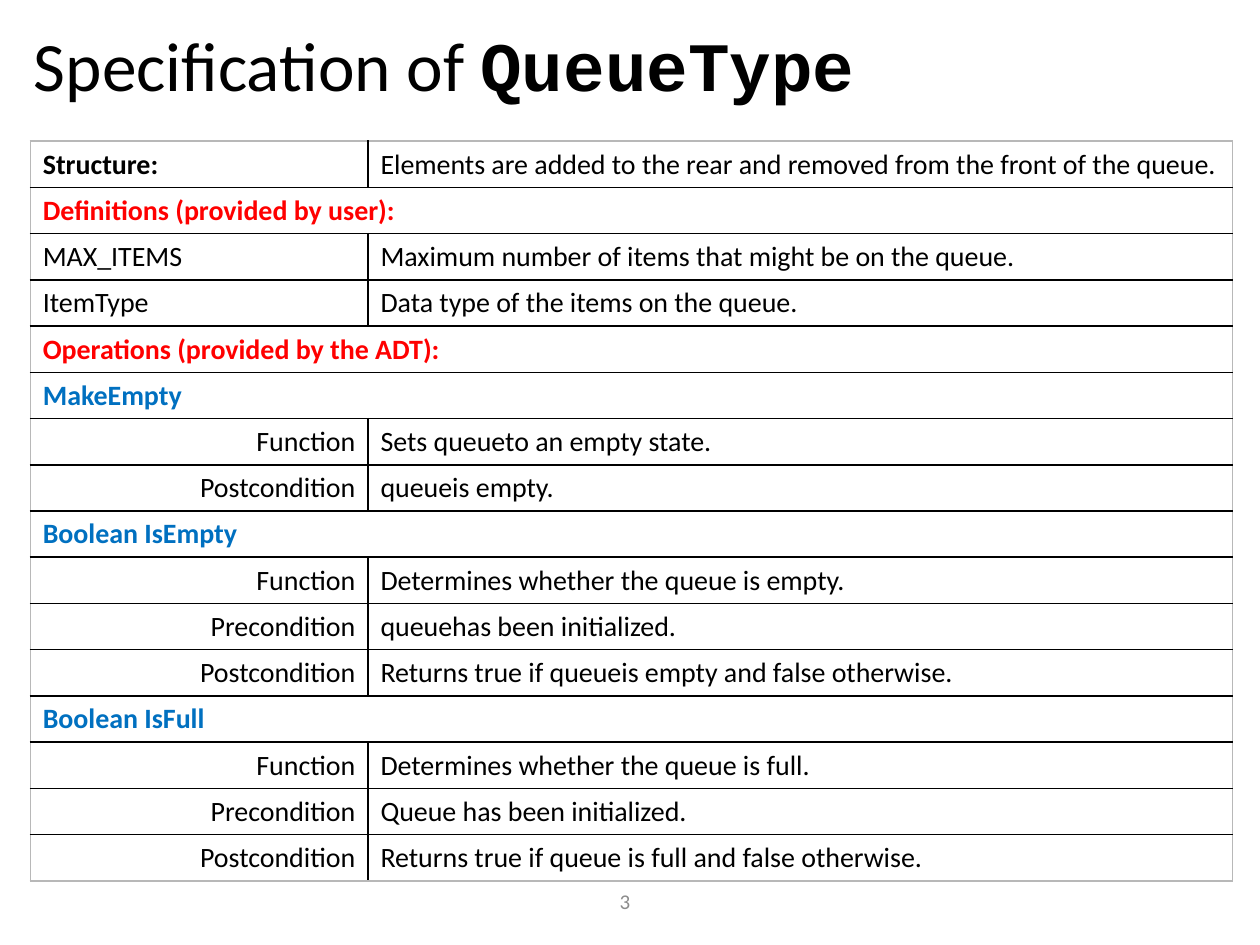
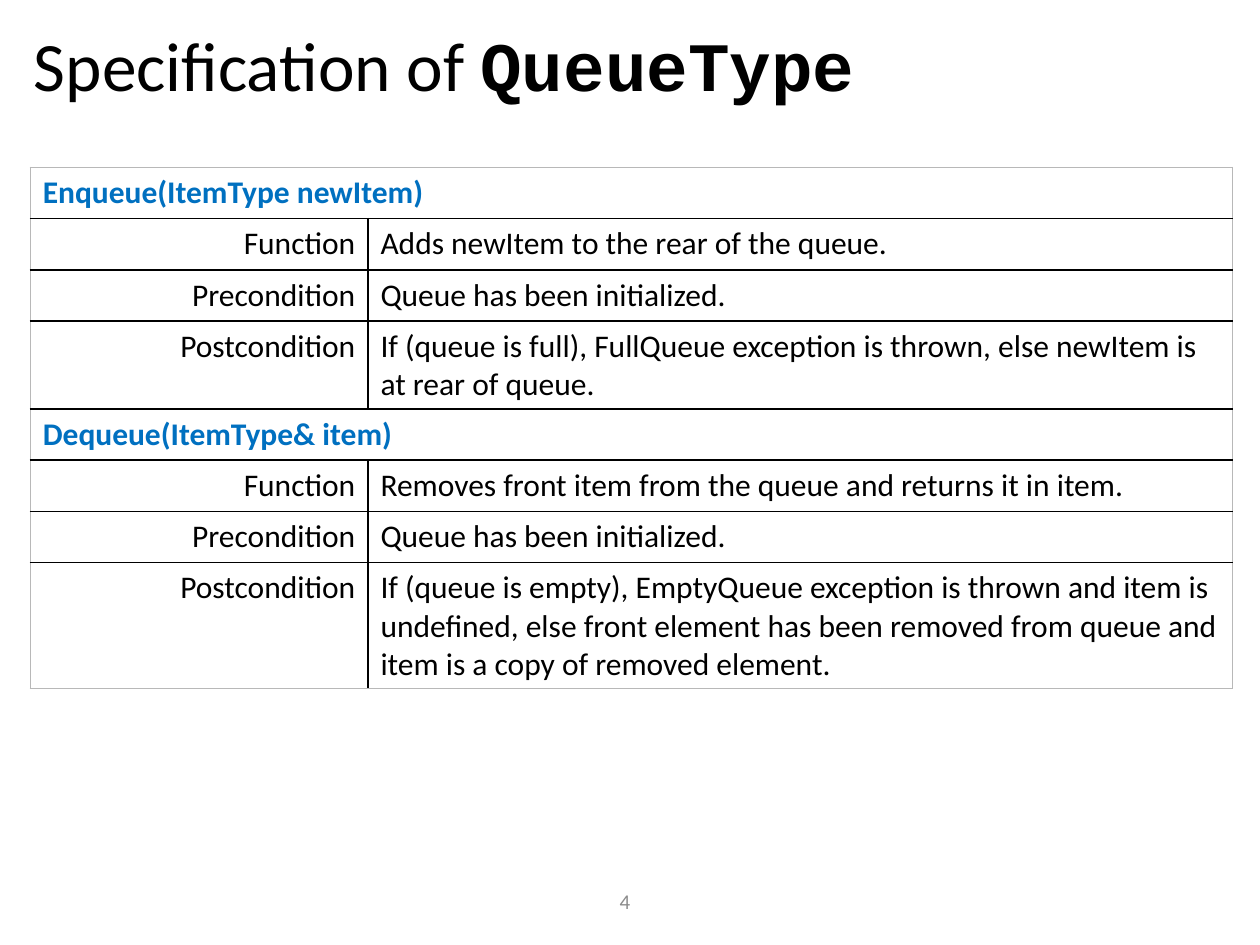
from lxml import etree
from pptx import Presentation
from pptx.dml.color import RGBColor
from pptx.enum.text import MSO_ANCHOR, PP_ALIGN
from pptx.oxml.ns import qn
from pptx.util import Pt

LEFT, CENTER, RIGHT = PP_ALIGN.LEFT, PP_ALIGN.CENTER, PP_ALIGN.RIGHT
MIDDLE = MSO_ANCHOR.MIDDLE

BLACK, WHITE, RED, BLUE = "000000", "FFFFFF", "FF0000", "0070C0"
NUMBER_GRAY, FRAME_GRAY = "8C8C8C", "B8B8B8"
BODY_FONT, CODE_FONT = "Calibri", "Courier New"

TITLE = [
    ("Specification of ", {"name": BODY_FONT, "bold": False}),
    ("QueueType", {"name": CODE_FONT, "bold": True}),
]
TITLE_SIZE, NUMBER_SIZE = 39.6, 12
TITLE_BOX = (12.24, 12.96, 692.64, 53.28)
NUMBER_BOX = (188.64, 500.4, 336.96, 28.8)
TABLE_LEFT, COLUMN_WIDTHS = 17.28, (192.96, 493.92)

# Each row is (kind, first cell, second cell); headings span both columns.
ROW_STYLES = {
    "structure": {"bold": True, "color": BLACK, "align": LEFT},
    "section": {"bold": True, "color": RED, "align": LEFT},
    "operation": {"bold": True, "color": BLUE, "align": LEFT},
    "definition": {"bold": False, "color": BLACK, "align": LEFT},
    "condition": {"bold": False, "color": BLACK, "align": RIGHT},
}
SPANNING = ("section", "operation")

SLIDES = [
    {"number": "3", "top": 80.64, "size": 16, "row_height": 26, "rows": [
        ("structure", "Structure:",
         "Elements are added to the rear and removed from the front of the queue."),
        ("section", "Definitions (provided by user):", ""),
        ("definition", "MAX_ITEMS", "Maximum number of items that might be on the queue."),
        ("definition", "ItemType", "Data type of the items on the queue."),
        ("section", "Operations (provided by the ADT):", ""),
        ("operation", "MakeEmpty", ""),
        ("condition", "Function", "Sets queueto an empty state."),
        ("condition", "Postcondition", "queueis empty."),
        ("operation", "Boolean IsEmpty", ""),
        ("condition", "Function", "Determines whether the queue is empty."),
        ("condition", "Precondition", "queuehas been initialized."),
        ("condition", "Postcondition", "Returns true if queueis empty and false otherwise."),
        ("operation", "Boolean IsFull", ""),
        ("condition", "Function", "Determines whether the queue is full."),
        ("condition", "Precondition", "Queue has been initialized."),
        ("condition", "Postcondition", "Returns true if queue is full and false otherwise."),
    ]},
    {"number": "4", "top": 95.76, "size": 18, "row_height": 29.2, "rows": [
        ("operation", "Enqueue(ItemType newItem)", ""),
        ("condition", "Function", "Adds newItem to the rear of the queue."),
        ("condition", "Precondition", "Queue has been initialized."),
        ("condition", "Postcondition",
         "If (queue is full), FullQueue exception is thrown, "
         "else newItem is at rear of queue."),
        ("operation", "Dequeue(ItemType& item)", ""),
        ("condition", "Function", "Removes front item from the queue and returns it in item."),
        ("condition", "Precondition", "Queue has been initialized."),
        ("condition", "Postcondition",
         "If (queue is empty), EmptyQueue exception is thrown and item is undefined, "
         "else front element has been removed from queue and "
         "item is a copy of removed element."),
    ]},
]


def rgb(color):
    return RGBColor.from_string(color)


def add_span(para, text, size, color=BLACK, **font_values):
    span = para.add_run()
    span.text = text
    span.font.size = Pt(size)
    span.font.color.rgb = rgb(color)
    for name, value in {"name": BODY_FONT, **font_values}.items():
        setattr(span.font, name, value)


def add_box(page, place):
    """Add a wrapped, vertically centred text box and return its paragraph."""
    frame = page.shapes.add_textbox(*map(Pt, place)).text_frame
    frame.word_wrap = True
    frame.vertical_anchor = MIDDLE
    return frame.paragraphs[0]


def add_title(page):
    para = add_box(page, TITLE_BOX)
    para.line_spacing = 0.9
    for text, font_values in TITLE:
        add_span(para, text, TITLE_SIZE, **font_values)


def add_page_number(page, number):
    para = add_box(page, NUMBER_BOX)
    para.alignment = CENTER
    add_span(para, number, NUMBER_SIZE, NUMBER_GRAY)


def set_borders(cell, edges):
    properties = cell._tc.get_or_add_tcPr()
    for edge, color in edges.items():
        line = etree.SubElement(properties, qn(f"a:ln{edge}"), w=str(Pt(1)))
        fill = etree.SubElement(line, qn("a:solidFill"))
        etree.SubElement(fill, qn("a:srgbClr"), val=color)


def add_specification(page, content):
    rows = content["rows"]
    row_height = Pt(content["row_height"])
    table = page.shapes.add_table(
        len(rows), len(COLUMN_WIDTHS), Pt(TABLE_LEFT), Pt(content["top"]),
        Pt(sum(COLUMN_WIDTHS)), row_height * len(rows)).table
    table.first_row = table.horz_banding = False
    for column, width in zip(table.columns, COLUMN_WIDTHS):
        column.width = Pt(width)

    for index, (kind, label, meaning) in enumerate(rows):
        table.rows[index].height = row_height
        first, second = table.cell(index, 0), table.cell(index, 1)
        divider = WHITE if kind in SPANNING else BLACK
        top = FRAME_GRAY if index == 0 else BLACK
        bottom = FRAME_GRAY if index == len(rows) - 1 else BLACK
        for cell, left, right in ((first, FRAME_GRAY, divider),
                                  (second, divider, FRAME_GRAY)):
            if kind in SPANNING and cell is first:
                right = FRAME_GRAY
            set_borders(cell, {"L": left, "R": right, "T": top, "B": bottom})
            cell.fill.solid()
            cell.fill.fore_color.rgb = rgb(WHITE)

        style = ROW_STYLES[kind]
        para = first.text_frame.paragraphs[0]
        para.alignment = style["align"]
        add_span(para, label, content["size"], style["color"], bold=style["bold"])
        if kind in SPANNING:
            first.merge(second)
        else:
            add_span(second.text_frame.paragraphs[0], meaning, content["size"], bold=False)


def main():
    deck = Presentation()
    deck.slide_width, deck.slide_height = Pt(720), Pt(540)
    blank_layout = deck.slide_layouts[6]
    for content in SLIDES:
        page = deck.slides.add_slide(blank_layout)
        add_page_number(page, content["number"])
        add_title(page)
        add_specification(page, content)
    deck.save("out.pptx")


if __name__ == "__main__":
    main()
